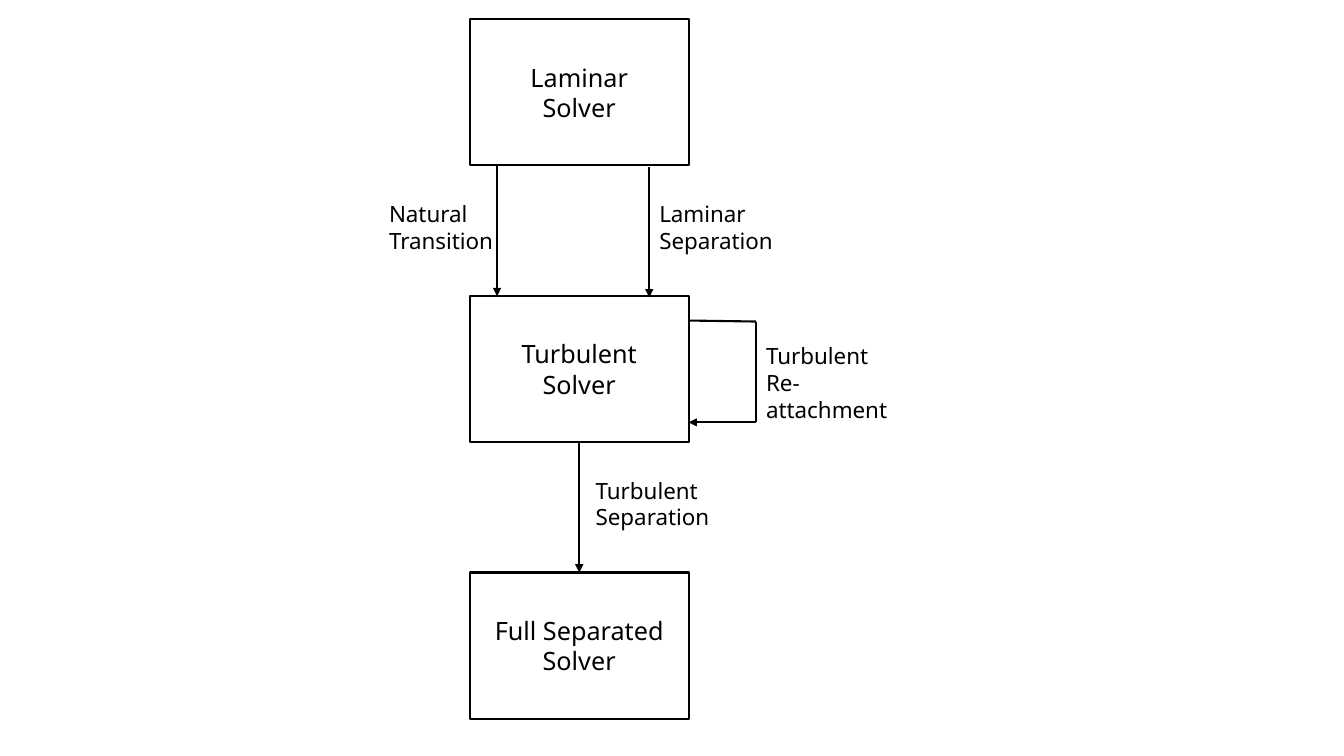
from copy import deepcopy
from dataclasses import dataclass

from pptx import Presentation
from pptx.dml.color import RGBColor
from pptx.enum.shapes import MSO_CONNECTOR, MSO_SHAPE
from pptx.enum.text import MSO_ANCHOR, MSO_AUTO_SIZE, PP_ALIGN
from pptx.oxml.ns import qn
from pptx.oxml.xmlchemy import OxmlElement
from pptx.util import Inches, Pt

BLACK, WHITE = "000000", "FFFFFF"
BOX_X, BOX_W, BOX_H = 4.66, 2.17, 1.45
TOP, STEP = 0.19, 2.745
RIGHT = BOX_X + BOX_W
LOOP_X, LOOP_END = 7.5, 4.19


@dataclass
class Label:
    text: str
    x: float
    y: float
    width: float


@dataclass
class Line:
    start: tuple[float, float]
    end: tuple[float, float]
    arrow: bool = True


# A newline starts a paragraph, a vertical tab breaks a line
BOXES = ["Laminar\vSolver", "Turbulent\vSolver", "Full Separated\vSolver"]
LABELS = [
    Label("Laminar\nSeparation", 6.44, 1.94, 1.39),
    Label("Natural\nTransition", 3.76, 1.94, 1.39),
    Label("Turbulent\vRe-attachment", 7.5, 3.35, 1.7),
    Label("Turbulent\vSeparation", 5.81, 4.68, 1.7),
]
LINES = [
    Line((4.93, 1.64), (4.93, 2.94)),
    Line((6.44, 1.66), (6.44, 2.95)),
    Line((RIGHT, 3.18), (LOOP_X, 3.19), arrow=False),
    Line((LOOP_X, 3.19), (LOOP_X, LOOP_END), arrow=False),
    Line((LOOP_X, LOOP_END), (RIGHT, LOOP_END)),
]


def color(code: str) -> RGBColor:
    return RGBColor.from_string(code)


def write(frame, text: str, size: int, align) -> None:
    frame.word_wrap = True
    frame.text = text
    style = {"name": "Noto Sans", "size": Pt(size)}
    for para in frame.paragraphs:
        para.alignment = align
        for run in para.runs:
            for key, value in style.items():
                setattr(run.font, key, value)
            run.font.color.rgb = color(BLACK)
        # Line breaks take the size of the text around them
        for brk in para._p.findall(qn("a:br")):
            brk.insert(0, deepcopy(para.runs[0]._r.rPr))


def stroke(line) -> None:
    line.color.rgb = color(BLACK)
    line.width = Pt(1.5)


def add_box(slide, text: str, row: int):
    box = slide.shapes.add_shape(
        MSO_SHAPE.RECTANGLE, Inches(BOX_X), Inches(TOP + row * STEP),
        Inches(BOX_W), Inches(BOX_H))
    box.shadow.inherit = False
    box.fill.solid()
    box.fill.fore_color.rgb = color(WHITE)
    stroke(box.line)
    box.text_frame.vertical_anchor = MSO_ANCHOR.MIDDLE
    write(box.text_frame, text, 18, PP_ALIGN.CENTER)
    return box


def add_line(slide, item: Line):
    ends = [Inches(v) for v in (*item.start, *item.end)]
    link = slide.shapes.add_connector(MSO_CONNECTOR.STRAIGHT, *ends)
    stroke(link.line)
    if item.arrow:
        tip = OxmlElement("a:tailEnd")
        tip.set("type", "triangle")
        link.line._get_or_add_ln().append(tip)
    link._element.spPr.append(OxmlElement("a:effectLst"))
    return link


def add_label(slide, item: Label) -> None:
    area = slide.shapes.add_textbox(
        Inches(item.x), Inches(item.y), Inches(item.width), Inches(0.64))
    write(area.text_frame, item.text, 16, PP_ALIGN.LEFT)
    area.text_frame.auto_size = MSO_AUTO_SIZE.SHAPE_TO_FIT_TEXT


def main() -> None:
    deck = Presentation()
    deck.slide_width, deck.slide_height = Inches(13.33), Inches(7.5)
    slide = deck.slides.add_slide(deck.slide_layouts[6])

    # Solvers
    boxes = [add_box(slide, text, row) for row, text in enumerate(BOXES)]

    # Arrows and the loop
    for item in LINES:
        add_line(slide, item)

    # Arrow between the middles of the last two solvers
    mid = BOX_X + BOX_W / 2
    link = add_line(slide, Line((mid, TOP + STEP + BOX_H),
                                (mid, TOP + 2 * STEP)))
    link.begin_connect(boxes[1], 2)
    link.end_connect(boxes[2], 0)

    # Labels
    for item in LABELS:
        add_label(slide, item)

    deck.save("out.pptx")


if __name__ == "__main__":
    main()
